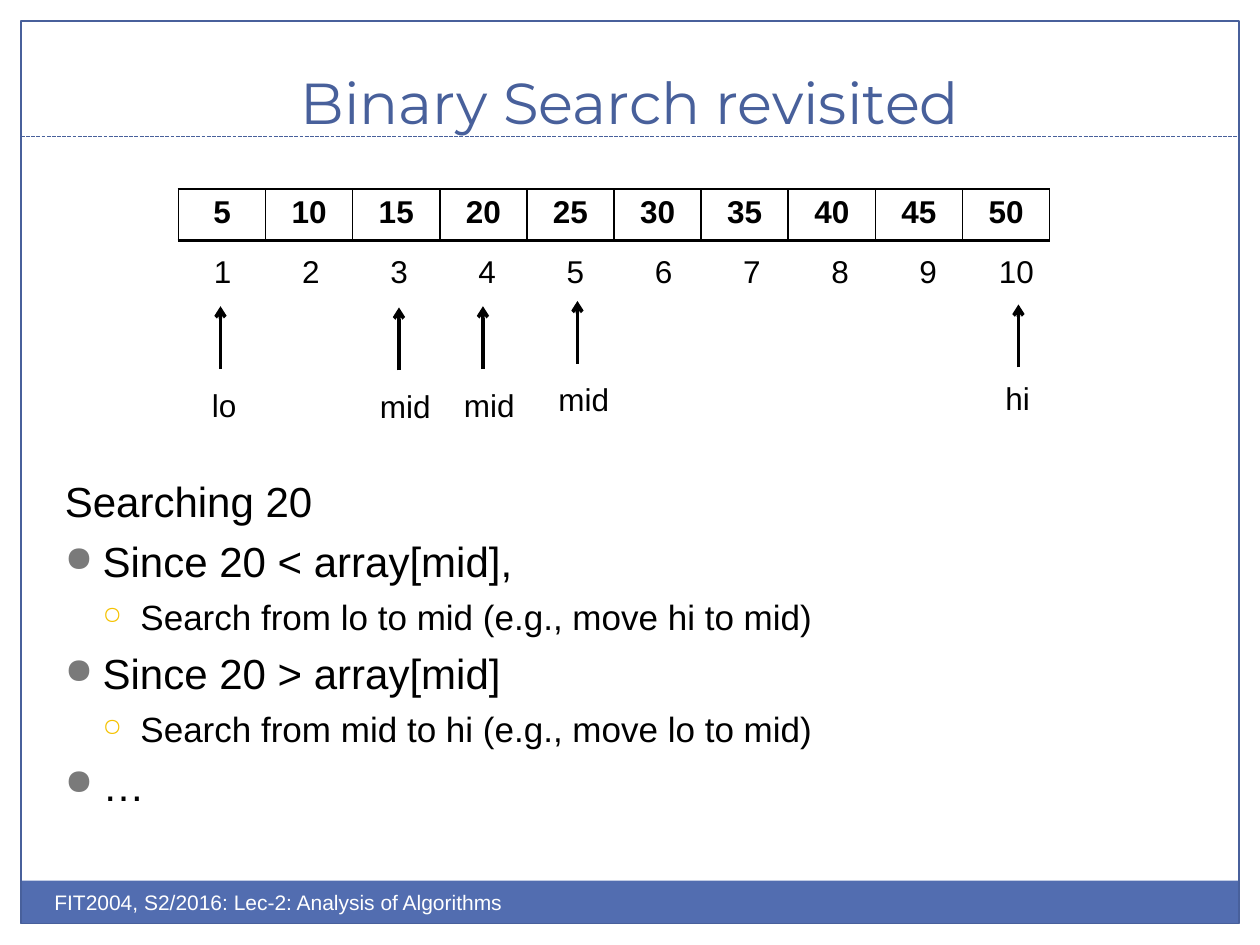
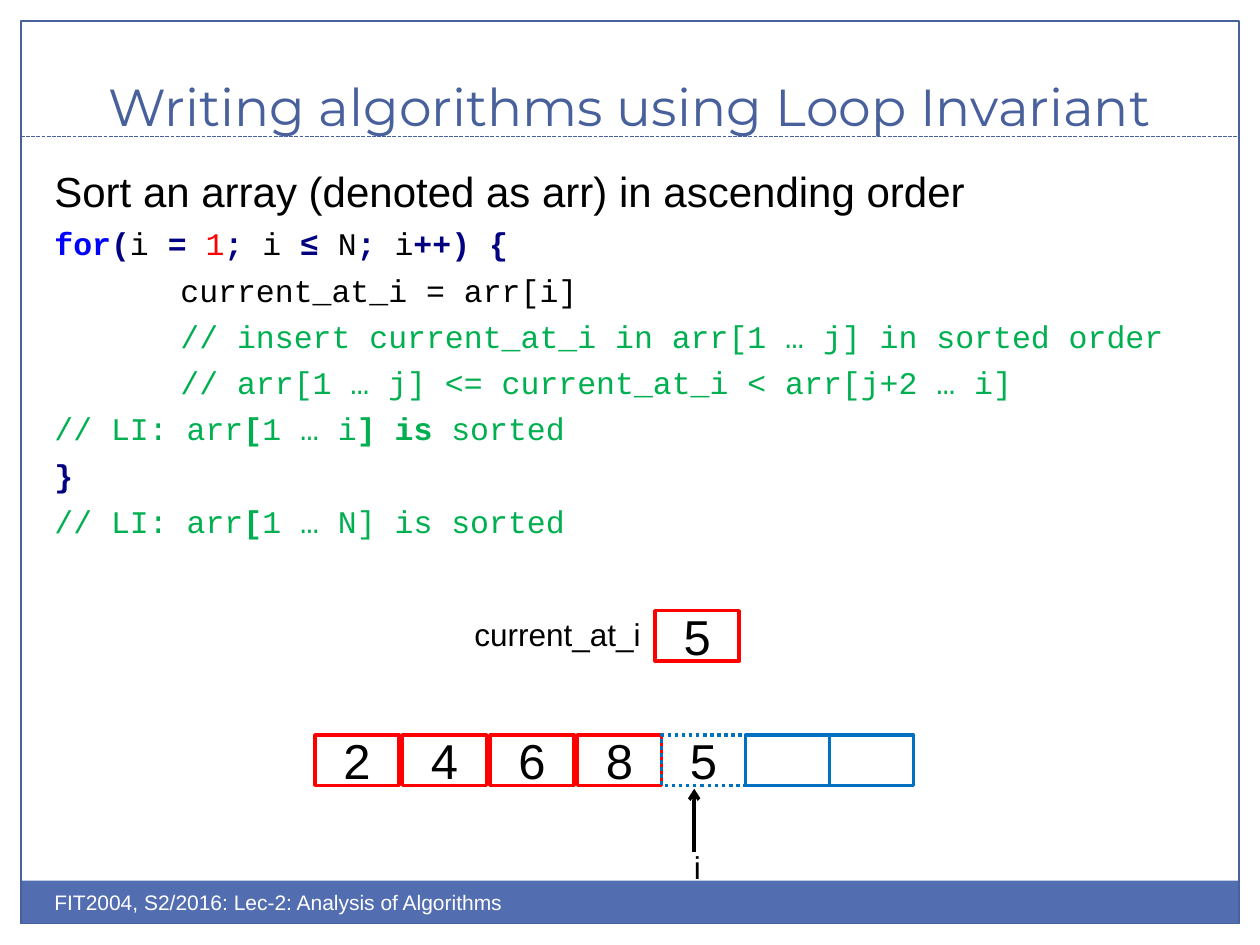
from lxml.etree import SubElement
from pptx import Presentation
from pptx.dml.color import RGBColor
from pptx.enum.dml import MSO_LINE
from pptx.enum.shapes import MSO_CONNECTOR, MSO_SHAPE
from pptx.enum.text import MSO_ANCHOR, PP_ALIGN
from pptx.oxml import parse_xml
from pptx.oxml.ns import nsdecls, qn
from pptx.util import Pt

BLACK = RGBColor(0x00, 0x00, 0x00)
WHITE = RGBColor(0xFF, 0xFF, 0xFF)
TITLE_BLUE = RGBColor(0x48, 0x60, 0x9B)
BAND_BLUE = RGBColor(0x52, 0x6D, 0xB0)
GREY = RGBColor(0x7A, 0x7A, 0x7A)
YELLOW = RGBColor(0xF5, 0xC2, 0x01)
RED = RGBColor(0xFF, 0x00, 0x00)
CELL_BLUE = RGBColor(0x00, 0x70, 0xC0)
KEYWORD_BLUE = RGBColor(0x00, 0x00, 0xFF)
NAVY = RGBColor(0x00, 0x00, 0x80)
GREEN = RGBColor(0x00, 0xB0, 0x50)

BODY_FONT, TITLE_FONT, CODE_FONT = "Arial", "Montserrat", "Courier New"
FOOTER = "FIT2004, S2/2016: Lec-2: Analysis of Algorithms"

# Code styles: colour and bold
KEYWORD = (KEYWORD_BLUE, True)
SYMBOL = (NAVY, True)
NAME = (BLACK, False)
NUMBER = (RED, False)
COMMENT = (GREEN, False)
STRONG_COMMENT = (GREEN, True)

# Bullet levels: text size, space before, hanging indent position, bullet, colour, size in %
TOP_LEVEL = (24, 5.7, 21.6, "●", GREY, 85)
SUB_LEVEL = (20, 5.4, 43.2, "○", YELLOW, 70)
HANGING = 21.6

CODE_INDENT = 72
CODE_LINES = [
    (0, [("for", KEYWORD), ("(", SYMBOL), ("i ", NAME), ("=", SYMBOL), (" ", NAME),
         ("1", NUMBER), (";", SYMBOL), (" i ", NAME), ("≤", SYMBOL), (" N", NAME),
         (";", SYMBOL), (" i", NAME), ("++)", SYMBOL), (" ", NAME), ("{", SYMBOL)]),
    (CODE_INDENT, [("current_at_i = arr[i]", NAME)]),
    (CODE_INDENT, [("// insert current_at_i in arr[1 … j] in sorted order", COMMENT)]),
    (CODE_INDENT, [("// arr[1 … j] <= current_at_i < arr[j+2 … i]", COMMENT)]),
    (0, [("// LI: arr", COMMENT), ("[", STRONG_COMMENT), ("1 … i", COMMENT),
         ("]", STRONG_COMMENT), (" ", COMMENT), ("is", STRONG_COMMENT),
         (" sorted", COMMENT)]),
    (0, [("}", SYMBOL)]),
    (0, [("// LI: arr", COMMENT), ("[", STRONG_COMMENT), ("1 … N] is sorted", COMMENT)]),
]

CELL_WIDTH, CELL_HEIGHT = 48, 28.8


def set_font(paragraph, size, color=BLACK, name=BODY_FONT, bold=False):
    font = paragraph.font
    font.size, font.name, font.bold = Pt(size), name, bold
    font.color.rgb = color


def add_text(slide, text, left, top, width, height, size, color=BLACK, wrap=True):
    """Add a text box and return its frame, with the first paragraph filled in."""
    frame = slide.shapes.add_textbox(Pt(left), Pt(top), Pt(width), Pt(height)).text_frame
    frame.word_wrap = wrap
    frame.paragraphs[0].text = text
    set_font(frame.paragraphs[0], size, color)
    return frame


def add_box(slide, left, top, width, height, fill=None, line=None, weight=0.75):
    box = slide.shapes.add_shape(MSO_SHAPE.RECTANGLE, Pt(left), Pt(top), Pt(width), Pt(height))
    box.shadow.inherit = False
    if fill is None:
        box.fill.background()
    else:
        box.fill.solid()
        box.fill.fore_color.rgb = fill
    if line is None:
        box.line.fill.background()
    else:
        box.line.color.rgb = line
        box.line.width = Pt(weight)
    return box


def add_line(slide, x1, y1, x2, y2, color, weight):
    connector = slide.shapes.add_connector(
        MSO_CONNECTOR.STRAIGHT, Pt(x1), Pt(y1), Pt(x2), Pt(y2))
    connector.line.color.rgb = color
    connector.line.width = Pt(weight)
    SubElement(connector._element.spPr, qn("a:effectLst"))
    return connector


def add_framed_slide(deck, title, title_size):
    """Add a slide with the frame, title, rule and footer band."""
    slide = deck.slides.add_slide(deck.slide_layouts[6])
    add_box(slide, 11.8, 503.3, 695.8, 24.5, fill=BAND_BLUE)
    add_box(slide, 12, 12, 696, 515.8, line=TITLE_BLUE)
    rule = add_line(slide, 12, 78, 708, 78, TITLE_BLUE, 0.75)
    rule.line.dash_style = MSO_LINE.SQUARE_DOT
    heading = add_text(slide, title, 24, 18, 672, 60, title_size, TITLE_BLUE)
    heading.vertical_anchor = MSO_ANCHOR.BOTTOM
    heading.margin_bottom = 0
    heading.paragraphs[0].alignment = PP_ALIGN.CENTER
    heading.paragraphs[0].font.name = TITLE_FONT
    add_text(slide, FOOTER, 24, 504.7, 360, 28.8, 12, WHITE)
    return slide


def set_borders(cell):
    for index, (side, weight) in enumerate((("L", 1), ("R", 1), ("T", 1), ("B", 2))):
        border = parse_xml(
            f'<a:ln{side} {nsdecls("a")} w="{Pt(weight)}"><a:solidFill>'
            f'<a:srgbClr val="{BLACK}"/></a:solidFill></a:ln{side}>')
        cell._tc.get_or_add_tcPr().insert(index, border)


def add_row(slide, values, left, top, column_width, bold=False, bordered=False):
    """Add a one-row table."""
    height = Pt(29.5)
    table = slide.shapes.add_table(
        1, len(values), Pt(left), Pt(top), Pt(column_width * len(values)), height).table
    table.first_row = table.horz_banding = False
    for column, cell, value in zip(table.columns, table.rows[0].cells, values):
        column.width = Pt(column_width)
        cell.fill.background()
        if bordered:
            set_borders(cell)
        paragraph = cell.text_frame.paragraphs[0]
        paragraph.text = str(value)
        paragraph.alignment = PP_ALIGN.CENTER
        set_font(paragraph, 18, bold=bold)


def add_marker(slide, label, x, tip, label_dx, label_dy, label_width):
    """Add an upward arrow with its tip at (x, tip) and a label below it."""
    arrow = add_line(slide, x, tip + 36, x, tip, BLACK, 2)
    SubElement(arrow.line._get_or_add_ln(), qn("a:tailEnd"), type="arrow")
    add_text(slide, label, x + label_dx, tip + label_dy, label_width, 28.8, 18, wrap=False)


def add_bullet(frame, text, level):
    size, space, indent, character, color, percent = level
    paragraph = frame.add_paragraph()
    paragraph.text = text
    paragraph.space_before = Pt(space)
    properties = paragraph._p.get_or_add_pPr()
    properties.set("marL", str(Pt(indent)))
    properties.set("indent", str(Pt(-HANGING)))
    bullet_color = SubElement(properties, qn("a:buClr"))
    SubElement(bullet_color, qn("a:srgbClr"), val=str(color))
    SubElement(properties, qn("a:buSzPct"), val=str(percent * 1000))
    SubElement(properties, qn("a:buChar"), char=character)
    set_font(paragraph, size)


def add_code_line(frame, indent, tokens):
    paragraph = frame.add_paragraph()
    paragraph.space_before = Pt(4.85)
    paragraph._p.get_or_add_pPr().set("marL", str(Pt(indent)))
    paragraph.font.name, paragraph.font.size = CODE_FONT, Pt(18)
    for text, (color, bold) in tokens:
        run = paragraph.add_run()
        run.text = text
        run.font.color.rgb, run.font.bold = color, bold


def add_array_cell(slide, value, left, top, color):
    cell = add_box(slide, left, top, CELL_WIDTH, CELL_HEIGHT, line=color, weight=2)
    if value:
        frame = cell.text_frame
        frame.vertical_anchor = MSO_ANCHOR.MIDDLE
        frame.paragraphs[0].text = value
        frame.paragraphs[0].alignment = PP_ALIGN.CENTER
        set_font(frame.paragraphs[0], 28)
    return cell


def build_binary_search(deck):
    slide = add_framed_slide(deck, "Binary Search revisited", 33)
    add_row(slide, range(5, 55, 5), 102, 108, 49.8, bold=True, bordered=True)
    add_row(slide, range(1, 11), 102, 142, 50.4)
    add_marker(slide, "lo", 126, 175, -12, 41.8, 28.8)
    add_marker(slide, "hi", 582, 174, -14.6, 39, 28.8)
    for x, tip in ((330, 172), (228, 175.7), (276, 175)):
        add_marker(slide, "mid", x, tip, -18, 41.8, 43.9)
    steps = add_text(slide, "Searching 20", 30, 268, 669.6, 200, 24)
    for text, level in (
        ("Since 20 < array[mid],", TOP_LEVEL),
        ("Search from lo to mid (e.g., move hi to mid)", SUB_LEVEL),
        ("Since 20 > array[mid]", TOP_LEVEL),
        ("Search from mid to hi (e.g., move lo to mid)", SUB_LEVEL),
        ("…", TOP_LEVEL),
    ):
        add_bullet(steps, text, level)


def build_loop_invariant(deck):
    slide = add_framed_slide(deck, "Writing algorithms using Loop Invariant", 29.7)
    code = add_text(slide, "Sort an array (denoted as arr) in ascending order",
                    24, 91, 672.5, 220, 24)
    for indent, tokens in CODE_LINES:
        add_code_line(code, indent, tokens)

    array_top = 420
    for index, value in enumerate("2468"):
        add_array_cell(slide, value, 180 + 50 * index, array_top, RED)
    for index, value in enumerate(("5", "", "")):
        cell = add_array_cell(slide, value, 378 + CELL_WIDTH * index, array_top, CELL_BLUE)
        if value:
            cell.line.dash_style = MSO_LINE.ROUND_DOT
    add_marker(slide, "i", 396.7, 450.7, -7.2, 30.2, 18.7)

    add_text(slide, "current_at_i", 264, 348, 110.2, 28.8, 18, wrap=False)
    add_array_cell(slide, "5", 374.4, 349, RED)


def main():
    deck = Presentation()
    deck.slide_width, deck.slide_height = Pt(720), Pt(540)
    build_binary_search(deck)
    build_loop_invariant(deck)
    deck.save("out.pptx")


if __name__ == "__main__":
    main()
